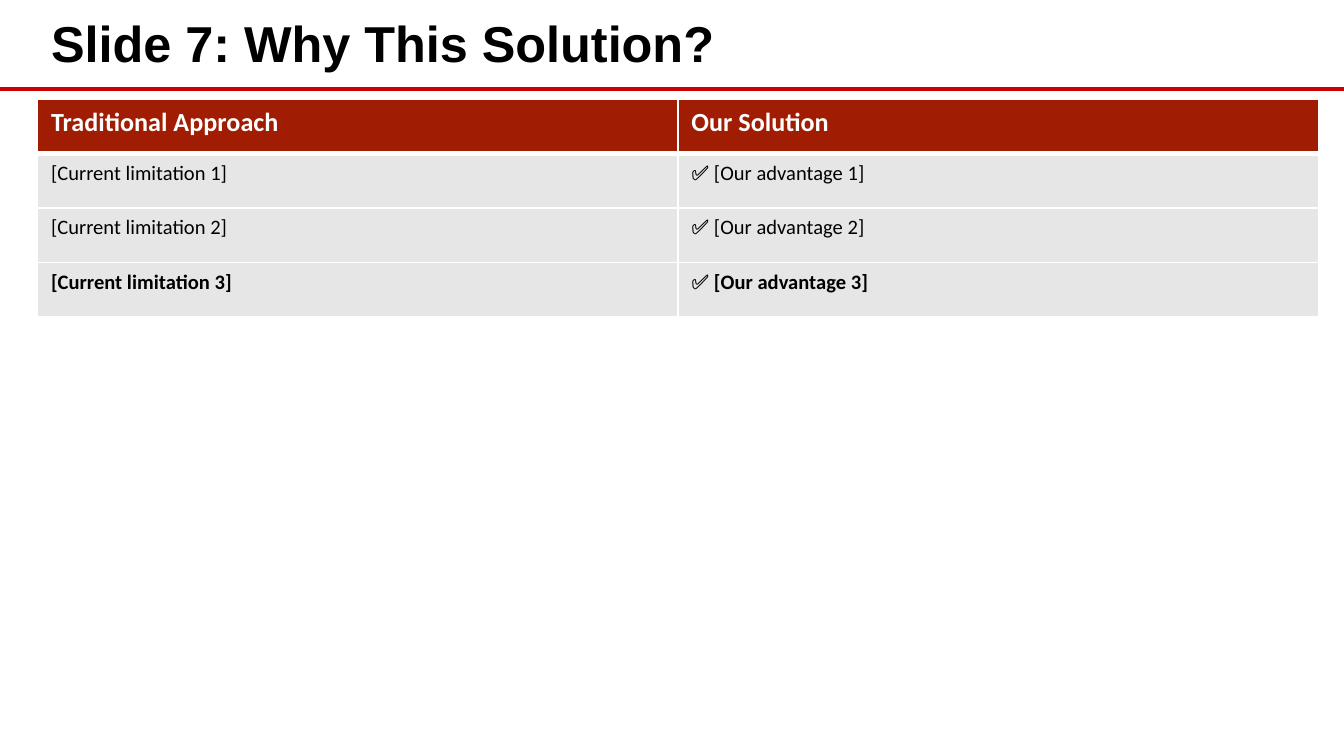
from typing import NamedTuple

from lxml.etree import SubElement
from pptx import Presentation
from pptx.dml.color import RGBColor as Rgb
from pptx.enum.shapes import MSO_CONNECTOR as Link
from pptx.enum.text import MSO_ANCHOR as Anchor, PP_ALIGN as Align
from pptx.oxml.ns import qn
from pptx.util import Inches, Pt

HUES = {"rule": "CC0000", "head": "A01C02", "body": "E7E6E6",
        "ink": "000000", "white": "FFFFFF"}
WIDE = Inches(10)
HIGH = WIDE * 9 // 16
LEFT, SPAN = 0.028, 0.953  # shares of the slide width


class Row(NamedTuple):
    cells: tuple[str, str]
    fill: str = "body"
    ink: str = "ink"
    size: float = 11
    bold: bool = False
    base: float = 1  # width of the bottom border


ROWS = [
    Row(("Traditional Approach", "Our Solution"), "head", "white", 14, True, 3),
    Row(("[Current limitation 1]", "✅ [Our advantage 1]")),
    Row(("[Current limitation 2]", "✅ [Our advantage 2]")),
    Row(("[Current limitation 3]", "✅ [Our advantage 3]"), bold=True),
]


def hue(name: str) -> Rgb:
    return Rgb.from_string(HUES[name])


def write(frame, text: str, *, size: float, font: str = "Calibri",
          ink: str = "ink", bold: bool = False) -> None:
    par = frame.paragraphs[0]
    par.alignment = Align.LEFT
    run = par.add_run()
    run.text = text
    face = run.font
    face.name, face.size, face.bold = font, Pt(size), bold
    face.color.rgb = hue(ink)


def edge(cell, side: str, width: float) -> None:
    line = SubElement(cell._tc.get_or_add_tcPr(), qn(f"a:ln{side}"),
                      w=str(Pt(width)))
    fill = SubElement(line, qn("a:solidFill"))
    SubElement(fill, qn("a:srgbClr"), val=HUES["white"])


def draw_row(cells, row: Row, top: float) -> None:
    for cell, text in zip(cells, row.cells):
        for side, width in zip("LRTB", (1, 1, top, row.base)):
            edge(cell, side, width)
        cell.fill.solid()
        cell.fill.fore_color.rgb = hue(row.fill)
        write(cell.text_frame, text, size=row.size, ink=row.ink, bold=row.bold)


def main() -> None:
    deck = Presentation()
    deck.slide_width, deck.slide_height = WIDE, HIGH
    slide = deck.slides.add_slide(deck.slide_layouts[5])
    left, span = int(WIDE * LEFT), int(WIDE * SPAN)

    # Red rule under the title
    level = Inches(0.66)
    rule = slide.shapes.add_connector(Link.STRAIGHT, 0, level, WIDE, level)
    rule.line.color.rgb, rule.line.width = hue("rule"), Pt(2.25)
    SubElement(rule._element.spPr, qn("a:effectLst"))

    # Title
    title = slide.shapes.title
    title.left, title.top = left, Inches(0.04)
    title.width, title.height = span, Inches(0.58)
    frame = title.text_frame
    frame.vertical_anchor = Anchor.MIDDLE
    frame.margin_bottom = Inches(0.08)
    write(frame, "Slide 7: Why This Solution?",
          size=27, font="Arial", bold=True)

    # Comparison table
    grid = slide.shapes.add_table(len(ROWS), 2, left, Inches(0.74),
                                  span, Inches(1.62)).table
    top = 1
    for line, row in zip(grid.rows, ROWS):
        draw_row(line.cells, row, top)
        top = row.base

    deck.save("out.pptx")


if __name__ == "__main__":
    main()
